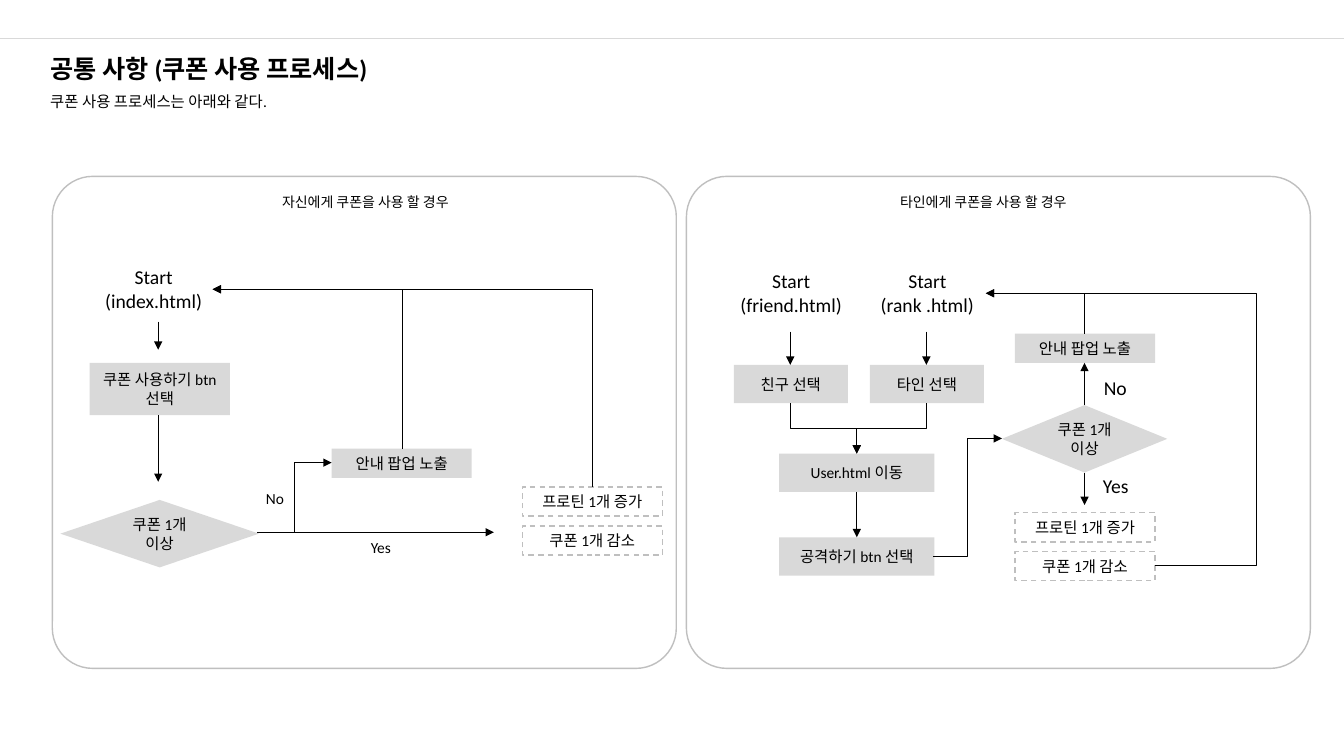
from pptx import Presentation
from pptx.dml.color import RGBColor
from pptx.enum import dml, shapes, text
from pptx.oxml import ns, xmlchemy
from pptx.util import Pt

THEME = {
    "ink": RGBColor.from_string("000000"),
    "fill": RGBColor.from_string("D9D9D9"),
    "border": RGBColor.from_string("BFBFBF"),
    "font": "Calibri",
    "title": 18, "large": 14, "body": 11, "heading": 10,
    "thin": 0.5, "outline": 1,
}
LEFT, CENTER = text.PP_ALIGN.LEFT, text.PP_ALIGN.CENTER
TOP, MIDDLE = text.MSO_ANCHOR.TOP, text.MSO_ANCHOR.MIDDLE
STRAIGHT, ELBOW = shapes.MSO_CONNECTOR.STRAIGHT, shapes.MSO_CONNECTOR.ELBOW

deck = Presentation()
deck.slide_width, deck.slide_height = Pt(960), Pt(540)
slide = deck.slides.add_slide(deck.slide_layouts[5])


def write(holder, wording, size, align=LEFT, anchor=TOP, wrap=False, grow=True, bold=False):
    frame = holder.text_frame
    frame.text = wording
    fitting = text.MSO_AUTO_SIZE.SHAPE_TO_FIT_TEXT if grow else text.MSO_AUTO_SIZE.NONE
    frame_format = {"word_wrap": wrap, "auto_size": fitting, "vertical_anchor": anchor}
    for attribute, value in frame_format.items():
        setattr(frame, attribute, value)
    font_format = {"name": THEME["font"], "size": Pt(THEME[size]), "bold": bold}
    for paragraph in frame.paragraphs:
        paragraph.alignment = align
        for attribute, value in font_format.items():
            setattr(paragraph.font, attribute, value)
        paragraph.font.color.rgb = THEME["ink"]


def connect(start, end, kind=STRAIGHT, color="ink", head=None, preset=None, bend=None, turn=0):
    """Draw a connector; head names the arrow end (headEnd or tailEnd)."""
    (x1, y1), (x2, y2) = start, end
    if turn:  # a quarter turn makes the elbow leave vertically
        mid_x, mid_y, dx, dy = (x1 + x2) / 2, (y1 + y2) / 2, x2 - x1, y2 - y1
        x1, y1 = mid_x - dy / 2, mid_y + dx / 2
        x2, y2 = mid_x + dy / 2, mid_y - dx / 2
    link = slide.shapes.add_connector(kind, Pt(x1), Pt(y1), Pt(x2), Pt(y2))
    link.line.color.rgb = THEME[color]
    link.line.width = Pt(THEME["thin"])
    properties = link._element.spPr
    if turn:
        properties.find(ns.qn("a:xfrm")).set("rot", str(turn * 60000))
    geometry = properties.find(ns.qn("a:prstGeom"))
    if preset:
        geometry.set("prst", preset)
    if bend is not None:
        adjustments = geometry.find(ns.qn("a:avLst"))
        if adjustments is None:
            adjustments = geometry.makeelement(ns.qn("a:avLst"), {})
            geometry.append(adjustments)
        guide = {"name": "adj1", "fmla": f"val {round(bend * 100000)}"}
        adjustments.append(geometry.makeelement(ns.qn("a:gd"), guide))
    if head:
        outline = properties.find(ns.qn("a:ln"))
        outline.append(outline.makeelement(ns.qn("a:" + head), {"type": "triangle"}))
    properties.append(properties.makeelement(ns.qn("a:effectLst"), {}))


# Top rule, title and introduction
connect((0, 27.4), (960, 27.4), color="fill")
title = slide.shapes.title
for side, length in {"left": 28.8, "top": 34.6, "width": 260.6, "height": 28.8}.items():
    setattr(title, side, Pt(length))
write(title, "공통 사항 (쿠폰 사용 프로세스)", "title", bold=True)
intro = slide.shapes.add_textbox(Pt(28.8), Pt(62.6), Pt(443.5), Pt(20.9))
write(intro, "쿠폰 사용 프로세스는 아래와 같다.", "body", wrap=True)

# Panels for the two cases
for panel_left, heading_left, case in (
    (37.4, 194.4, "자신에게 쿠폰을 사용 할 경우"),
    (490.3, 635.8, "타인에게 쿠폰을 사용 할 경우"),
):
    panel = slide.shapes.add_shape(shapes.MSO_SHAPE.ROUNDED_RECTANGLE,
                                   Pt(panel_left), Pt(126), Pt(445.7), Pt(351.4))
    panel.adjustments[0] = 0.082
    panel.shadow.inherit = False
    panel.fill.background()
    panel.line.color.rgb = THEME["border"]
    panel.line.width = Pt(THEME["outline"])
    heading = slide.shapes.add_textbox(Pt(heading_left), Pt(134.6), Pt(146.9), Pt(19.4))
    write(heading, case, "heading")

# Process steps, decisions and dashed results
STEP, DECISION = shapes.MSO_SHAPE.RECTANGLE, shapes.MSO_SHAPE.DIAMOND
RESULTS = ("프로틴 1개 증가", "쿠폰 1개 감소")
nodes = [
    (STEP, 64.1, 259.2, 100.1, 37.4, "쿠폰 사용하기 btn 선택"),
    (STEP, 236.9, 320.4, 100.1, 20.9, "안내 팝업 노출"),
    (STEP, 524.2, 260.6, 81.4, 27.4, "친구 선택"),
    (STEP, 621.4, 260.6, 81.4, 27.4, "타인 선택"),
    (STEP, 556.6, 324, 110.9, 27.4, "User.html 이동"),
    (STEP, 556.6, 383.8, 110.9, 27.4, "공격하기 btn 선택"),
    (STEP, 725, 238.3, 100.1, 20.9, "안내 팝업 노출"),
    (DECISION, 43.2, 357.1, 141.8, 48.2, "쿠폰 1개\n이상"),
    (DECISION, 715.7, 289.4, 118.1, 48.2, "쿠폰 1개\n이상"),
]
for result_left, result_top in ((373, 347.8), (725, 366.2)):
    for row, result in enumerate(RESULTS):
        nodes.append((STEP, result_left, result_top + row * 27.8, 100.1, 20.9, result))

for preset_shape, left, top, width, height, wording in nodes:
    node = slide.shapes.add_shape(preset_shape, Pt(left), Pt(top), Pt(width), Pt(height))
    node.shadow.inherit = False
    if wording in RESULTS:
        node.fill.background()
        node.line.color.rgb = THEME["border"]
        node.line.width = Pt(THEME["outline"])
        node.line.dash_style = dml.MSO_LINE.DASH
    else:
        node.fill.solid()
        node.fill.fore_color.rgb = THEME["fill"]
        node.line.fill.background()
    write(node, wording, "body", CENTER, MIDDLE, wrap=True, grow=False)

# Start labels and branch labels
for left, top, width, height, wording, size, align in (
    (67.7, 185.8, 84.2, 41, "Start\n(index.html)", "large", CENTER),
    (519.8, 188.6, 90.7, 41, "Start\n(friend.html)", "large", CENTER),
    (619.9, 188.6, 85, 41, "Start\n(rank .html)", "large", CENTER),
    (182.9, 345.6, 27.4, 20.9, "No", "body", LEFT),
    (257.8, 380.9, 29.5, 20.9, "Yes", "body", LEFT),
    (781.2, 265, 31, 24.5, "No", "large", CENTER),
    (780.5, 334.8, 33.1, 24.5, "Yes", "large", CENTER),
):
    label = slide.shapes.add_textbox(Pt(left), Pt(top), Pt(width), Pt(height))
    write(label, wording, size, align)

# Straight arrows
for start, end in (
    ((113, 229.7), (113, 249.8)),
    ((113, 296.6), (113, 344.2)),
    ((185, 380.2), (352.8, 380.2)),
    ((564.5, 236.9), (564.5, 260.6)),
    ((661.7, 236.9), (661.7, 260.6)),
    ((612, 351.4), (612, 383.8)),
    ((774.7, 289.4), (774.7, 259.2)),
    ((774.7, 337.7), (774.7, 360.7)),
):
    connect(start, end, head="tailEnd")

# Returns to the start labels, drawn from the arrowhead outwards
for start, end in (
    ((151.9, 206.6), (287.3, 320.4)),
    ((151.9, 206.6), (423.4, 347.8)),
    ((704.2, 209.5), (774.7, 238.3)),
):
    connect(start, end, ELBOW, head="headEnd", preset="bentConnector2")

# Elbows with two bends
for start, end, bend, turn in (
    ((183.6, 380.2), (236.9, 330.5), 0.5, 0),
    ((564.5, 288), (612, 324), 0.5, 90),
    ((661.7, 288), (612, 324), 0.5, 90),
    ((666.7, 397.4), (715.7, 313.2), 0.5, 0),
    ((825.1, 403.9), (704.2, 209.5), -0.6, 0),
):
    connect(start, end, ELBOW, head="tailEnd", bend=bend, turn=turn)

deck.save("out.pptx")
